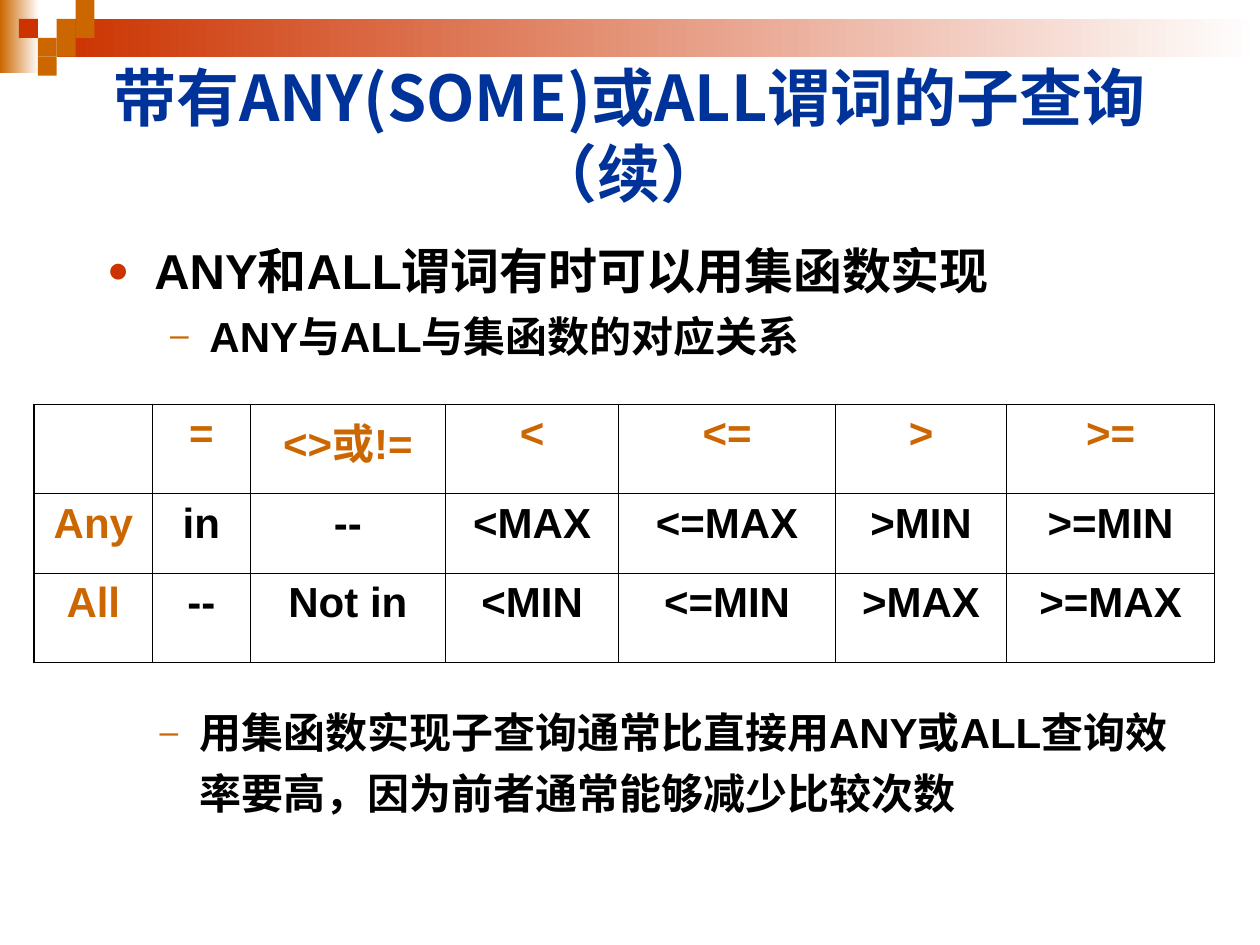
from dataclasses import dataclass
from typing import Optional

from lxml.etree import SubElement
from pptx import Presentation
from pptx.dml.color import RGBColor as Rgb
from pptx.enum.shapes import MSO_SHAPE as Shape
from pptx.enum.text import MSO_ANCHOR as Anchor, MSO_AUTO_SIZE as AutoSize, PP_ALIGN as Align
from pptx.oxml import parse_xml
from pptx.oxml.ns import nsdecls, qn
from pptx.util import Pt


@dataclass(frozen=True)
class Theme:
    white: str = "FFFFFF"
    black: str = "000000"
    blue: str = "003399"
    red: str = "CC3300"
    orange: str = "CC6600"
    latin: str = "Arial"
    chinese: str = "Noto Sans CJK SC"
    title_size: float = 36
    lead_size: float = 28
    text_size: float = 24
    outer_line: float = 1.08
    inner_line: float = 0.45


@dataclass(frozen=True)
class Area:
    left: float
    top: float
    width: float
    height: float

    def lengths(self) -> tuple:
        return Pt(self.left), Pt(self.top), Pt(self.width), Pt(self.height)


@dataclass(frozen=True)
class Bullet:
    char: str
    color: str
    percent: int
    margin: float
    hanging: float
    level: int = 0


@dataclass(frozen=True)
class Block:
    column: int
    row: int
    color: str


THEME = Theme()
LEAD = Bullet("●", THEME.red, 75, margin=27, hanging=27)
DASH = Bullet("–", THEME.orange, 80, margin=58.5, hanging=22.5, level=1)

BLOCK_SIZE = 10.8
BLOCKS = [
    Block(3, 1, THEME.orange), Block(4, 0, THEME.orange), Block(4, 1, THEME.orange),
    Block(2, 2, THEME.orange), Block(1, 1, THEME.red), Block(3, 2, THEME.orange),
    Block(2, 3, THEME.orange),
]
BANDS = [
    (Area(0, 0, 22.3, 41.8), THEME.orange),
    (Area(32.4, 10.8, 687.6, 21.6), THEME.red),
]

TABLE_AREA = Area(19.5, 231.1, 674.6, 147.6)
COLUMN_WIDTHS = [67.7, 55.8, 111.6, 99, 123.8, 97.9, 118.8]
ROW_HEIGHTS = [51.1, 45.4, 51.1]
TABLE_ROWS = [
    ["", "=", "<>或!=", "<", "<=", ">", ">="],
    ["Any", "in", "--", "<MAX", "<=MAX", ">MIN", ">=MIN"],
    ["All", "--", "Not in", "<MIN", "<=MIN", ">MAX", ">=MAX"],
]


def add_bullet(para, bullet: Bullet) -> None:
    para.level = bullet.level
    props = para._p.get_or_add_pPr()
    props.set("marL", str(Pt(bullet.margin)))
    props.set("indent", str(-Pt(bullet.hanging)))
    color = SubElement(props, qn("a:buClr"))
    SubElement(color, qn("a:srgbClr"), val=bullet.color)
    SubElement(props, qn("a:buSzPct"), val=str(bullet.percent * 1000))
    SubElement(props, qn("a:buFont"), typeface=THEME.latin)
    SubElement(props, qn("a:buChar"), char=bullet.char)


def write(frame, text: str, *, size: float = THEME.text_size, color: str = THEME.black,
          latin: str = THEME.latin, align: Align = Align.LEFT,
          bullet: Optional[Bullet] = None, before: float = 0,
          line_spacing: float = 1.0, new: bool = False) -> None:
    """Fill the frame's first paragraph, or a new one, with bold text."""
    para = frame.add_paragraph() if new else frame.paragraphs[0]
    if bullet:
        add_bullet(para, bullet)
    para.alignment = align
    para.space_before = Pt(before)
    para.line_spacing = line_spacing
    span = para.add_run()
    span.text = text
    font = span.font
    font.name, font.size, font.bold = latin, Pt(size), True
    font.color.rgb = Rgb.from_string(color)
    SubElement(span._r.get_or_add_rPr(), qn("a:ea"), typeface=THEME.chinese)


def prepare(box, area: Area, anchor: Anchor = Anchor.TOP):
    box.left, box.top, box.width, box.height = area.lengths()
    frame = box.text_frame
    frame.word_wrap = True
    frame.auto_size = AutoSize.NONE
    frame.vertical_anchor = anchor
    return frame


def add_rectangle(group, area: Area):
    box = group.shapes.add_shape(Shape.RECTANGLE, *area.lengths())
    box.shadow.inherit = False
    box.line.fill.background()
    return box


def add_decoration(slide) -> None:
    """Draw the gradient bands and the corner blocks behind everything else."""
    group = slide.shapes.add_group_shape()
    for area, color in BANDS:
        fill = add_rectangle(group, area).fill
        fill.gradient()
        fill.gradient_angle = 180
        for stop, position, shade in zip(fill.gradient_stops, (0, 1), (THEME.white, color)):
            stop.position = position
            stop.color.rgb = Rgb.from_string(shade)
    for block in BLOCKS:
        area = Area(block.column * BLOCK_SIZE, block.row * BLOCK_SIZE, BLOCK_SIZE, BLOCK_SIZE)
        fill = add_rectangle(group, area).fill
        fill.solid()
        fill.fore_color.rgb = Rgb.from_string(block.color)
    slide.shapes._spTree.insert(2, group._element)


def set_borders(cell, outer_sides: dict) -> None:
    props = cell._tc.get_or_add_tcPr()
    for index, (side, is_outer) in enumerate(outer_sides.items()):
        width = Pt(THEME.outer_line if is_outer else THEME.inner_line)
        props.insert(index, parse_xml(
            f'<a:ln{side} {nsdecls("a")} w="{width}"><a:solidFill>'
            f'<a:srgbClr val="{THEME.black}"/></a:solidFill></a:ln{side}>'))


def add_comparison_table(slide) -> None:
    last_row, last_column = len(ROW_HEIGHTS) - 1, len(COLUMN_WIDTHS) - 1
    table = slide.shapes.add_table(
        len(ROW_HEIGHTS), len(COLUMN_WIDTHS), *TABLE_AREA.lengths()).table
    table.first_row = table.horz_banding = False
    for column, width in zip(table.columns, COLUMN_WIDTHS):
        column.width = Pt(width)
    for row, height in zip(table.rows, ROW_HEIGHTS):
        row.height = Pt(height)
    for r, texts in enumerate(TABLE_ROWS):
        for c, text in enumerate(texts):
            cell = table.cell(r, c)
            cell.margin_left = cell.margin_right = Pt(1.5)
            cell.fill.background()
            set_borders(cell, {"L": c == 0, "R": c == last_column,
                               "T": r == 0, "B": r == last_row})
            if text:
                is_header = r == 0 or c == 0
                write(cell.text_frame, text, align=Align.CENTER,
                      color=THEME.orange if is_header else THEME.black)


def main() -> None:
    deck = Presentation()
    deck.slide_width, deck.slide_height = Pt(720), Pt(540)
    page = deck.slides.add_slide(deck.slide_layouts[1])
    add_decoration(page)

    title = prepare(page.shapes.title, Area(25.2, 31.7, 668.9, 90), Anchor.MIDDLE)
    write(title, "带有ANY(SOME)或ALL谓词的子查询（续）", size=THEME.title_size,
          color=THEME.blue, latin=THEME.chinese, align=Align.CENTER)

    body = prepare(page.placeholders[1], Area(54, 133.9, 629.3, 85.7))
    write(body, "ANY和ALL谓词有时可以用集函数实现", size=THEME.lead_size, bullet=LEAD)
    write(body, "ANY与ALL与集函数的对应关系", bullet=DASH, before=6, new=True)

    add_comparison_table(page)

    note_area = Area(48.2, 394.6, 629.3, 85.7)
    note = prepare(page.shapes.add_textbox(*note_area.lengths()), note_area)
    write(note, "用集函数实现子查询通常比直接用ANY或ALL查询效率要高，因为前者通常能够减少比较次数",
          bullet=DASH, line_spacing=1.2)

    deck.save("out.pptx")


if __name__ == "__main__":
    main()
